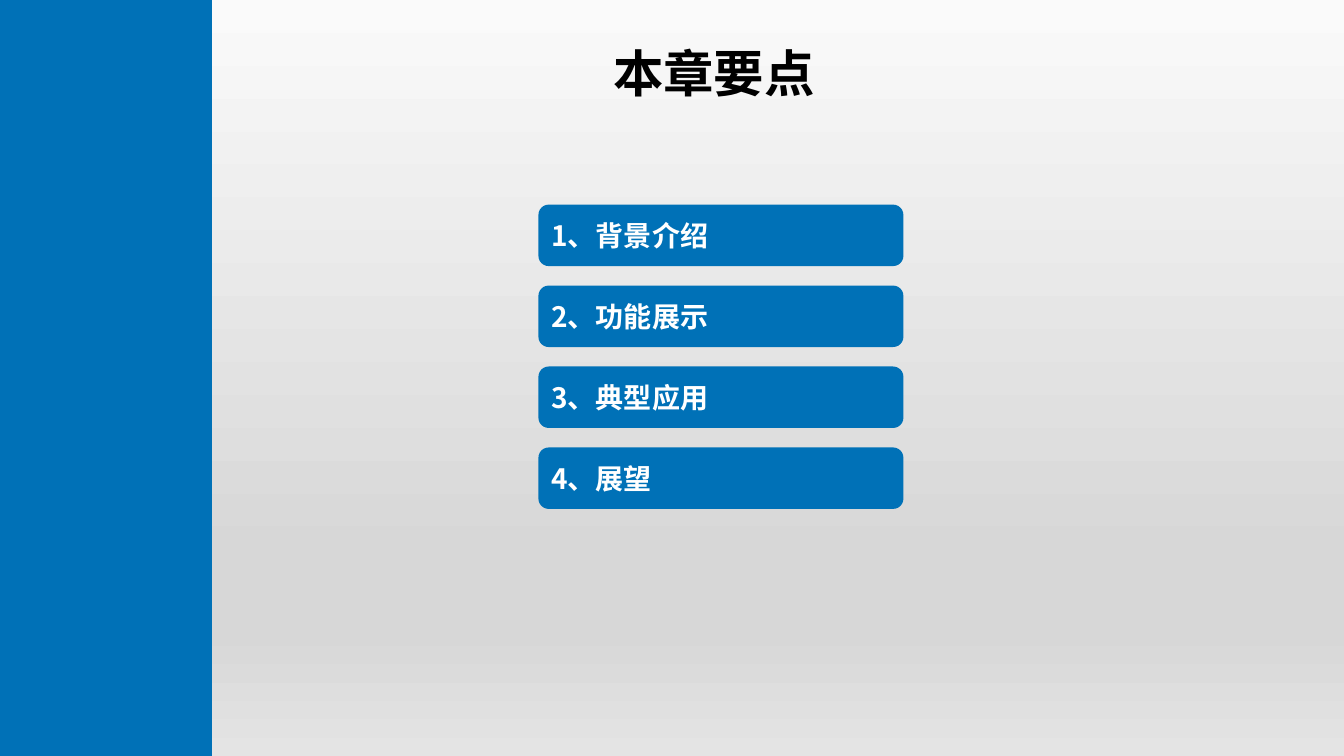
from lxml.etree import SubElement
from pptx import Presentation
from pptx.dml.color import RGBColor
from pptx.enum.shapes import MSO_SHAPE
from pptx.enum.text import MSO_ANCHOR, MSO_AUTO_SIZE, PP_ALIGN
from pptx.oxml.ns import qn
from pptx.util import Inches, Pt

TITLE = "本章要点"
TOPICS = ["1、背景介绍", "2、功能展示", "3、典型应用", "4、展望"]
PANEL_STOPS = [(0, "FAFAFA"), (74, "D7D7D7"), (83, "D7D7D7"), (100, "E4E4E4")]

FONT = "Noto Sans CJK SC"
BLUE = RGBColor(0x00, 0x71, 0xB7)
BLACK = RGBColor(0x00, 0x00, 0x00)
WHITE = RGBColor(0xFF, 0xFF, 0xFF)

SLIDE_WIDTH, SLIDE_HEIGHT = 13.33, 7.5
SIDEBAR_WIDTH = 2.1
TOPIC_LEFT, TOPIC_TOP = 5.34, 2.03
TOPIC_WIDTH, TOPIC_HEIGHT = 3.62, 0.61
TOPIC_STEP = 0.803


def write_text(shape, text, size, color, alignment):
    frame = shape.text_frame
    frame.text = text
    frame.word_wrap = True
    frame.auto_size = MSO_AUTO_SIZE.NONE
    frame.vertical_anchor = MSO_ANCHOR.MIDDLE
    paragraph = frame.paragraphs[0]
    paragraph.alignment = alignment
    font = paragraph.font
    font.name = FONT
    font.size = Pt(size)
    font.bold = True
    font.color.rgb = color
    properties = paragraph._p.pPr.find(qn("a:defRPr"))
    SubElement(properties, qn("a:ea")).set("typeface", FONT)


def add_block(slide, kind, left, top, width, height):
    shape = slide.shapes.add_shape(
        kind, Inches(left), Inches(top), Inches(width), Inches(height)
    )
    shape.shadow.inherit = False
    shape.line.fill.background()
    return shape


def add_panel(slide):
    panel = add_block(slide, MSO_SHAPE.RECTANGLE, SIDEBAR_WIDTH, 0,
                      SLIDE_WIDTH - SIDEBAR_WIDTH, SLIDE_HEIGHT)
    panel.fill.gradient()
    panel.fill.gradient_angle = 270
    stops = panel._element.spPr.find(".//" + qn("a:gsLst"))
    for stop in list(stops):
        stops.remove(stop)
    for percent, color in PANEL_STOPS:
        stop = SubElement(stops, qn("a:gs"), pos=str(percent * 1000))
        SubElement(stop, qn("a:srgbClr"), val=color)
    slide.shapes._spTree.insert(2, panel._element)


def add_title(slide):
    title = slide.shapes.title
    title.left, title.top = Inches(5.89), Inches(0.36)
    title.width, title.height = Inches(2.38), Inches(0.71)
    write_text(title, TITLE, 36, BLACK, PP_ALIGN.CENTER)


def add_topics(slide):
    for index, topic in enumerate(TOPICS):
        button = add_block(slide, MSO_SHAPE.ROUNDED_RECTANGLE, TOPIC_LEFT,
                           TOPIC_TOP + index * TOPIC_STEP, TOPIC_WIDTH, TOPIC_HEIGHT)
        button.fill.solid()
        button.fill.fore_color.rgb = BLUE
        write_text(button, topic, 20, WHITE, PP_ALIGN.LEFT)


def main():
    presentation = Presentation()
    presentation.slide_width = Inches(SLIDE_WIDTH)
    presentation.slide_height = Inches(SLIDE_HEIGHT)
    slide = presentation.slides.add_slide(presentation.slide_layouts[5])
    slide.background.fill.solid()
    slide.background.fill.fore_color.rgb = BLUE
    add_panel(slide)
    add_title(slide)
    add_topics(slide)
    presentation.save("out.pptx")


if __name__ == "__main__":
    main()
